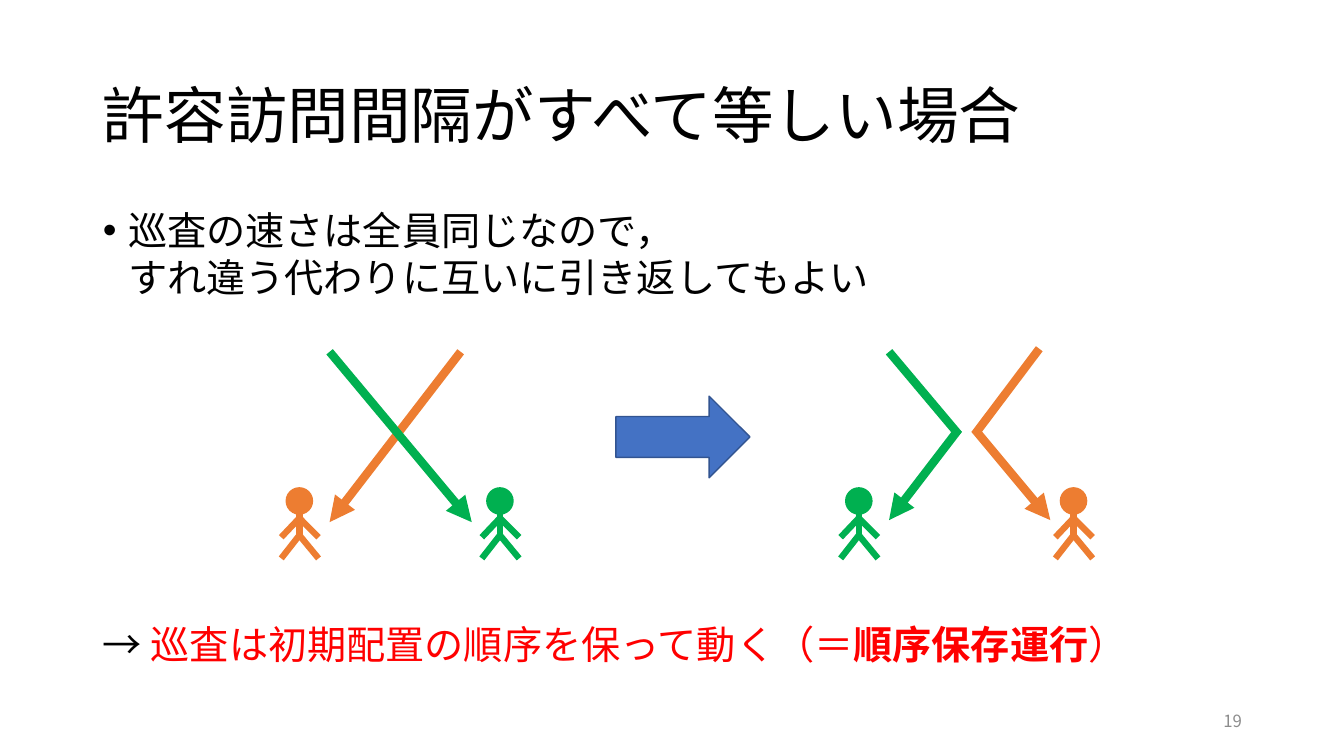
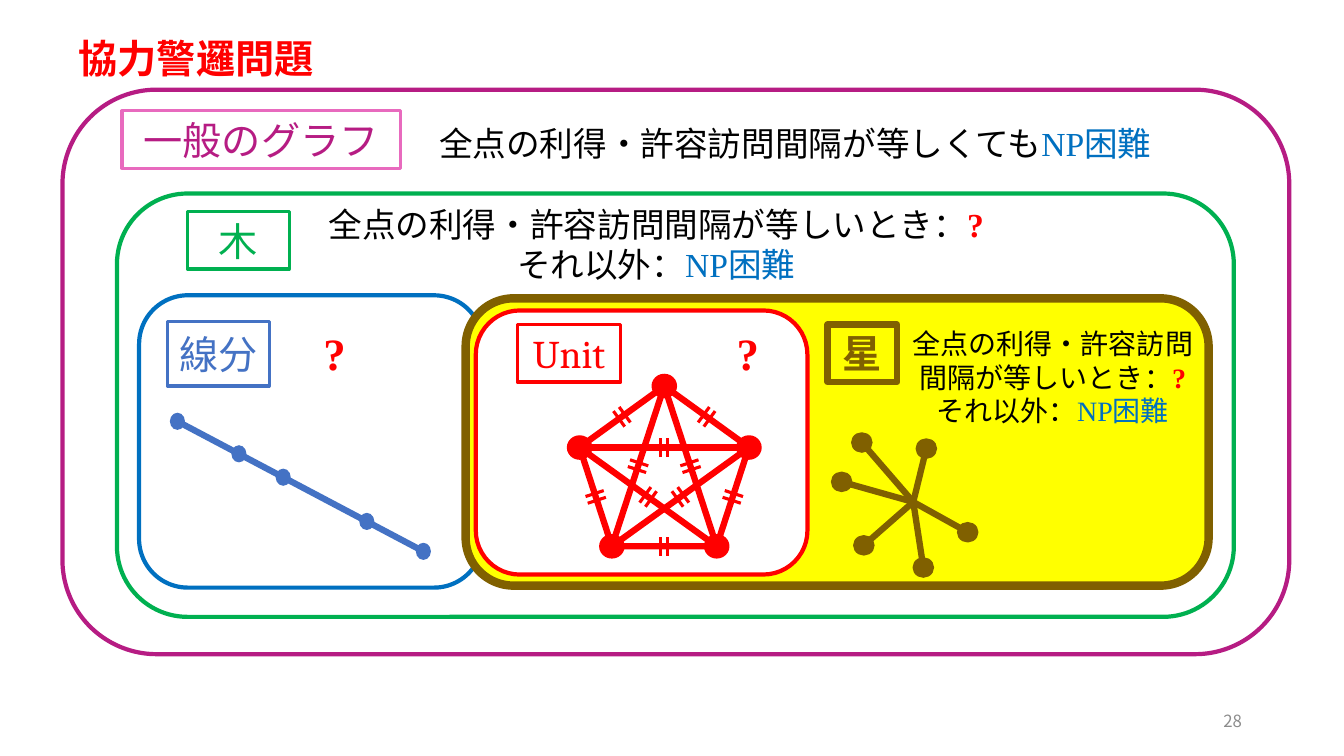
from itertools import combinations
from math import hypot

from lxml.etree import SubElement
from pptx import Presentation
from pptx.dml.color import RGBColor
from pptx.enum.shapes import MSO_CONNECTOR as Connector, MSO_SHAPE as Shape
from pptx.enum.text import MSO_ANCHOR as Anchor, MSO_AUTO_SIZE as AutoSize, PP_ALIGN as Align
from pptx.oxml.ns import qn
from pptx.util import Inches, Pt

COLUMNS, ROWS = 133.33, 75
BLACK, WHITE, GRAY = "000000", "FFFFFF", "8C8C8C"
RED, ORANGE, GREEN, YELLOW = "FF0000", "ED7D31", "00B050", "FFFF00"
BLUE, SKY, NAVY = "4472C4", "0070C0", "325491"
PURPLE, PINK, BROWN = "B61C83", "E86ABE", "806000"
SANS, SERIF, TIMES = "Noto Sans CJK JP", "Cambria", "Times New Roman"
LEADING = 1.2


def rgb(value):
    """Turn a hex string into a colour."""
    return RGBColor.from_string(value)


def write(paragraph, text, size=28, color=BLACK, font=SANS, bold=False):
    """Add formatted text to a paragraph, breaking lines at newlines."""
    for index, line in enumerate(text.split("\n")):
        if index:
            paragraph.add_line_break()
        run = paragraph.add_run()
        run.text = line
        run.font.size, run.font.bold, run.font.name = Pt(size), bold, font
        run.font.color.rgb = rgb(color)
        SubElement(run._r.get_or_add_rPr(), qn("a:ea")).set("typeface", font)


def set_bullet(paragraph, character=None, indent=0):
    """Give a paragraph a hanging bullet, or none."""
    properties = paragraph._p.get_or_add_pPr()
    properties.set("marL", str(int(indent)))
    properties.set("indent", str(-int(indent)))
    if character:
        SubElement(properties, qn("a:buChar")).set("char", character)
    else:
        SubElement(properties, qn("a:buNone"))


class Deck:
    """Hold the shared style, the grid and the current slide."""

    def __init__(self):
        """Start an empty wide presentation."""
        self.presentation = Presentation()
        self.presentation.slide_width = Inches(13.33)
        self.presentation.slide_height = Inches(7.5)
        self.slide = None

    def x(self, columns):
        """Convert columns to a length."""
        return int(self.presentation.slide_width * columns / COLUMNS)

    def y(self, rows):
        """Convert rows to a length."""
        return int(self.presentation.slide_height * rows / ROWS)

    def place(self, shape, box):
        """Move a shape to a box on the grid."""
        left, top, width, height = box
        shape.left, shape.top = self.x(left), self.y(top)
        shape.width, shape.height = self.x(width), self.y(height)

    def fill_text(self, shape, paragraphs, size, align=Align.LEFT, anchor=Anchor.TOP, wrap=True):
        """Write paragraphs, each a list of (text, format) pairs."""
        frame = shape.text_frame
        frame.word_wrap, frame.auto_size = wrap, AutoSize.NONE
        frame.vertical_anchor = anchor
        for index, runs in enumerate(paragraphs):
            paragraph = frame.add_paragraph() if index else frame.paragraphs[0]
            paragraph.alignment = align
            paragraph.line_spacing = Pt(size * LEADING)
            for text, style in runs:
                write(paragraph, text, **{"size": size, **style})
        return frame.paragraphs

    def add_slide(self, layout, number, title, box, size, **style):
        """Start a slide with its title and page number."""
        layouts = self.presentation.slide_layouts
        self.slide = self.presentation.slides.add_slide(layouts[layout])
        self.place(self.slide.shapes.title, box)
        self.fill_text(self.slide.shapes.title, [[(title, style)]], size, anchor=Anchor.MIDDLE)
        self.text((94.2, 69.5, 30, 4), [[(str(number), {"color": GRAY})]], 12,
                  align=Align.RIGHT, anchor=Anchor.MIDDLE)

    def body(self, box, paragraphs, size):
        """Fill the body placeholder."""
        shape = self.slide.placeholders[1]
        self.place(shape, box)
        return self.fill_text(shape, paragraphs, size)

    def text(self, box, paragraphs, size, **layout):
        """Add a text box."""
        shape = self.slide.shapes.add_textbox(0, 0, 0, 0)
        self.place(shape, box)
        self.fill_text(shape, paragraphs, size, **layout)

    def shape(self, kind, box, fill=None, outline=None, weight=1):
        """Add a preset shape."""
        shape = self.slide.shapes.add_shape(kind, 0, 0, 0, 0)
        self.place(shape, box)
        shape.shadow.inherit = False
        if fill:
            shape.fill.solid()
            shape.fill.fore_color.rgb = rgb(fill)
        else:
            shape.fill.background()
        if outline:
            shape.line.color.rgb = rgb(outline)
            shape.line.width = Pt(weight)
        else:
            shape.line.fill.background()
        return shape

    def region(self, box, outline, weight=3, fill=None):
        """Add a rounded region of the class diagram."""
        self.shape(Shape.ROUNDED_RECTANGLE, box, fill, outline, weight)

    def label(self, box, text, outline, weight=2.25, **style):
        """Add a framed name."""
        shape = self.shape(Shape.RECTANGLE, box, None, outline, weight)
        runs = [(text, {"color": outline, **style})]
        self.fill_text(shape, [runs], 28, Align.CENTER, Anchor.MIDDLE, wrap=False)

    def dot(self, center, width, height, color, outline=None):
        """Add a disc around a point."""
        box = (center[0] - width / 2, center[1] - height / 2, width, height)
        self.shape(Shape.OVAL, box, color, outline)

    def line(self, start, end, color, weight=4.5, arrow=False):
        """Add a straight line, with an arrowhead if asked."""
        connector = self.slide.shapes.add_connector(
            Connector.STRAIGHT, self.x(start[0]), self.y(start[1]), self.x(end[0]), self.y(end[1]))
        connector.line.color.rgb = rgb(color)
        connector.line.width = Pt(weight)
        if arrow:
            SubElement(connector.line._get_or_add_ln(), qn("a:tailEnd")).set("type", "triangle")
        SubElement(connector._element.spPr, qn("a:effectLst"))

    def person(self, x, top, color):
        """Draw a stick figure."""
        self.dot((x, top + 1.3), 2.6, 2.6, color, color)
        self.line((x, top + 2.5), (x, top + 4.9), color)
        for joint, tip in ((4.7, 7), (3, 4.9)):
            for reach in (1.9, -1.8):
                self.line((x, top + joint), (x + reach, top + tip), color)

    def ticks(self, start, end, color, gap=0.7, length=1.9):
        """Mark the middle of an edge with two cross strokes."""
        run, rise = end[0] - start[0], end[1] - start[1]
        size = hypot(run, rise)
        along, up = run / size, rise / size
        for shift in (-gap / 2, gap / 2):
            x = (start[0] + end[0]) / 2 + along * shift
            y = (start[1] + end[1]) / 2 + up * shift
            dx, dy = -up * length / 2, along * length / 2
            self.line((x - dx, y - dy), (x + dx, y + dy), color, 2.25)

    def question(self, left, top):
        """Add a large open-question mark."""
        mark = ("?", {"color": RED, "font": TIMES, "bold": True})
        self.text((left, top, 3.9, 6.4), [[mark]], 32, wrap=False)


def build_order_slide(deck):
    """Show that crossing guards may turn back instead."""
    deck.add_slide(1, 19, "許容訪問間隔がすべて等しい場合", (9.2, 4, 115, 14.5), 44)
    red = {"color": RED}
    premise, conclusion = deck.body((9.2, 20, 115, 47.6), [
        [("巡査の速さは全員同じなので，\nすれ違う代わりに互いに引き返してもよい", {})],
        [("→ ", {}), ("巡査は初期配置の順序を保って動く（＝", red),
         ("順序保存運行", {**red, "bold": True}), ("）", red)],
    ], 28)
    premise.space_before = Pt(10)
    conclusion.space_before = Pt(228.5)
    set_bullet(premise, "•", deck.x(2.5))
    set_bullet(conclusion)

    for start, end, color, arrow in (
        ((45.7, 34.9), (32.7, 51.8), ORANGE, True),
        ((32.7, 34.9), (46.8, 51.8), GREEN, True),
        ((95.1, 42.6), (88.2, 51.6), GREEN, True),
        ((96.7, 42.6), (104.2, 51.6), ORANGE, True),
        ((95.1, 43.1), (88.2, 34.9), GREEN, False),
        ((96.7, 43.1), (103.1, 34.6), ORANGE, False),
    ):
        deck.line(start, end, color, 6, arrow)
    deck.shape(Shape.RIGHT_ARROW, (61.1, 39.3, 13.3, 8.1), BLUE, NAVY)
    for x, color in ((49.6, GREEN), (29.7, ORANGE), (106.5, ORANGE), (85.2, GREEN)):
        deck.person(x, 48.4, color)


def draw_segment(deck):
    """Draw the path graph."""
    start, end = (17.6, 41.8), (42, 54.7)
    deck.line(start, end, BLUE)
    for share in (0, 0.25, 0.43, 0.77, 1):
        center = [a + (b - a) * share for a, b in zip(start, end)]
        deck.dot(center, 1.5, 1.7, BLUE)


def draw_complete_graph(deck):
    """Draw the complete graph with equal edges."""
    corners = [(65.9, 38.3), (74.3, 44.4), (71.1, 54.2), (60.7, 54.2), (57.5, 44.4)]
    deck.shape(Shape.REGULAR_PENTAGON, (57.5, 38.3, 16.8, 15.9), None, RED, 4.5)
    for first, second in combinations(range(len(corners)), 2):
        if second - first in (2, 3):
            deck.line(corners[first], corners[second], RED)
        deck.ticks(corners[first], corners[second], RED)
    for corner in corners:
        deck.dot(corner, 2.4, 2.3, RED, RED)


def draw_star(deck):
    """Draw the star graph."""
    for tip in ((85.5, 43.9), (91.9, 44.5), (96, 52.8), (91.6, 56.3), (85.7, 54.1), (83.5, 47.8)):
        deck.line((90.6, 49.8), tip, BROWN)
        deck.dot(tip, 2, 1.9, BROWN, BROWN)


def build_classes_slide(deck):
    """Show what is known for each class of graphs."""
    deck.add_slide(5, 28, "協力警邏問題", (6.8, 2.9, 25.6, 5.7), 28, color=RED, bold=True)
    hard = [("NP", {"color": SKY, "font": TIMES}), ("困難", {"color": SKY})]
    open_mark = ("?", {"color": RED, "font": TIMES, "bold": True})
    equal_or_not = [[("全点の利得・許容訪問間隔が等しいとき：", {}), open_mark],
                    [("それ以外：", {}), *hard]]

    deck.region((6.2, 8.9, 121.7, 56), PURPLE)
    deck.region((11.6, 19.2, 110.8, 42), GREEN)
    deck.region((13.8, 29.3, 34.1, 29), SKY)
    deck.region((46.2, 29.6, 73.7, 28.5), BROWN, 6, YELLOW)
    deck.region((47.2, 30.8, 32.9, 26.2), RED, fill=WHITE)

    deck.label((12.1, 11, 27.6, 5.7), "一般のグラフ", PINK, color=PURPLE)
    deck.label((18.6, 21, 10.1, 5.7), "木", GREEN)
    deck.label((16.6, 31.9, 10.1, 6.4), "線分", BLUE)
    deck.label((51.3, 32.2, 10.3, 5.7), "Unit", RED, font=SERIF)
    deck.label((82.1, 32.2, 6.9, 5.7), "星", BROWN, 4.5, bold=True)

    deck.text((40.1, 11.7, 77.6, 5),
              [[("全点の利得・許容訪問間隔が等しくても", {}), *hard]], 24, align=Align.CENTER)
    deck.text((28.7, 19.7, 72.8, 9.1), equal_or_not, 24, align=Align.CENTER)
    deck.text((89, 31.9, 30.9, 11.1), equal_or_not, 20, align=Align.CENTER)
    for left in (31.1, 72.1):
        deck.question(left, 31.8)

    draw_segment(deck)
    draw_complete_graph(deck)
    draw_star(deck)


deck = Deck()
build_order_slide(deck)
build_classes_slide(deck)
deck.presentation.save("out.pptx")
